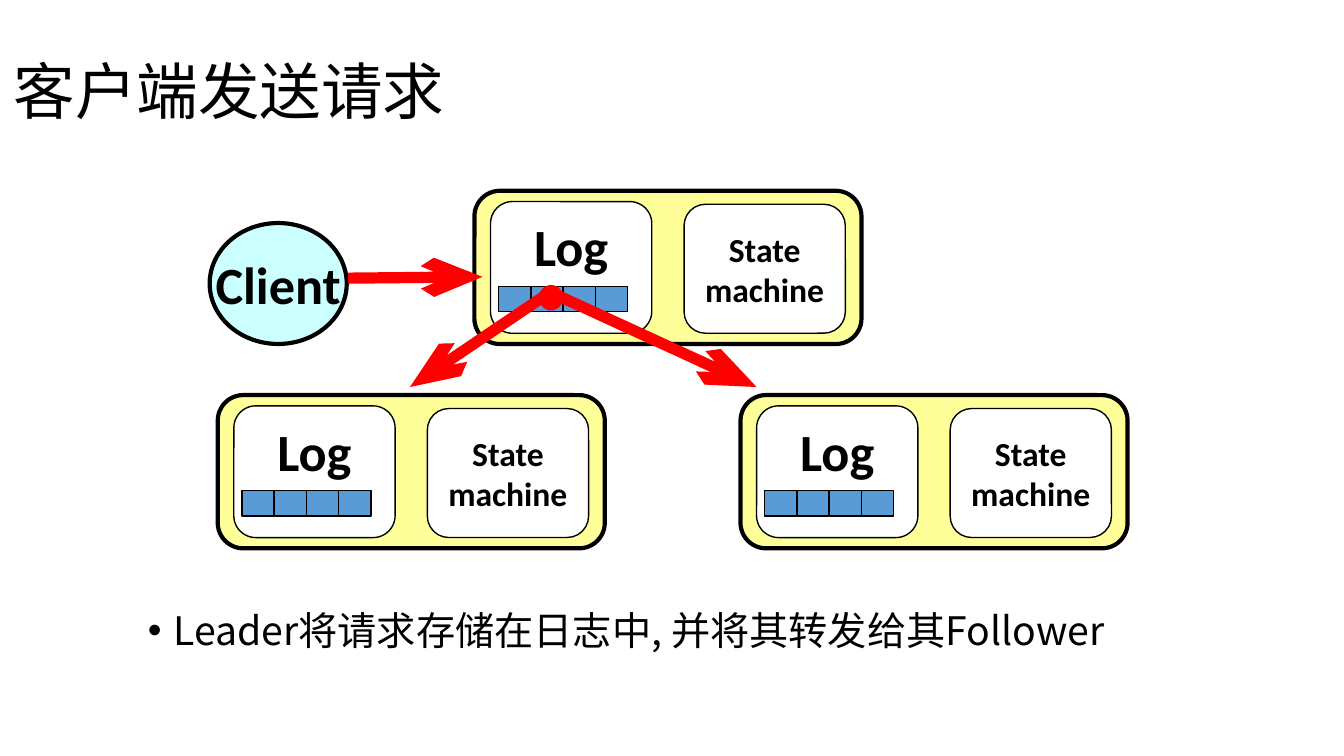
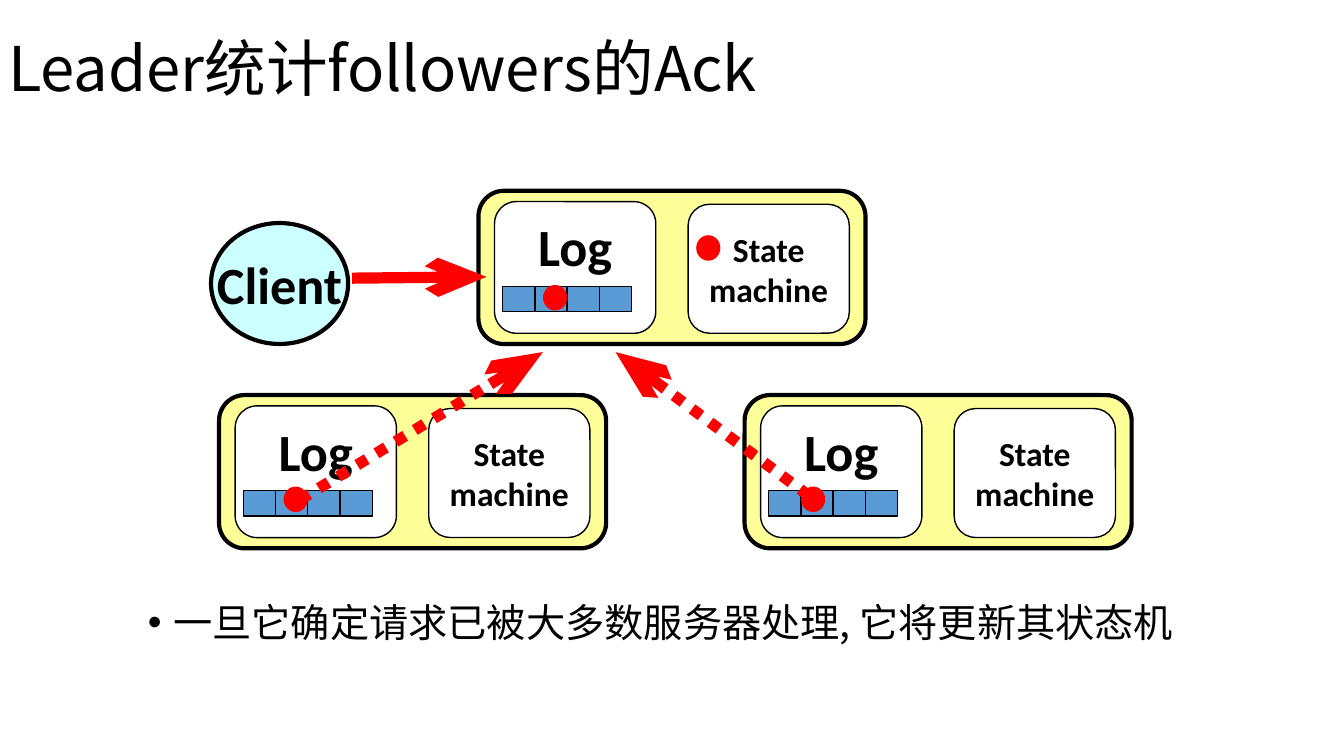
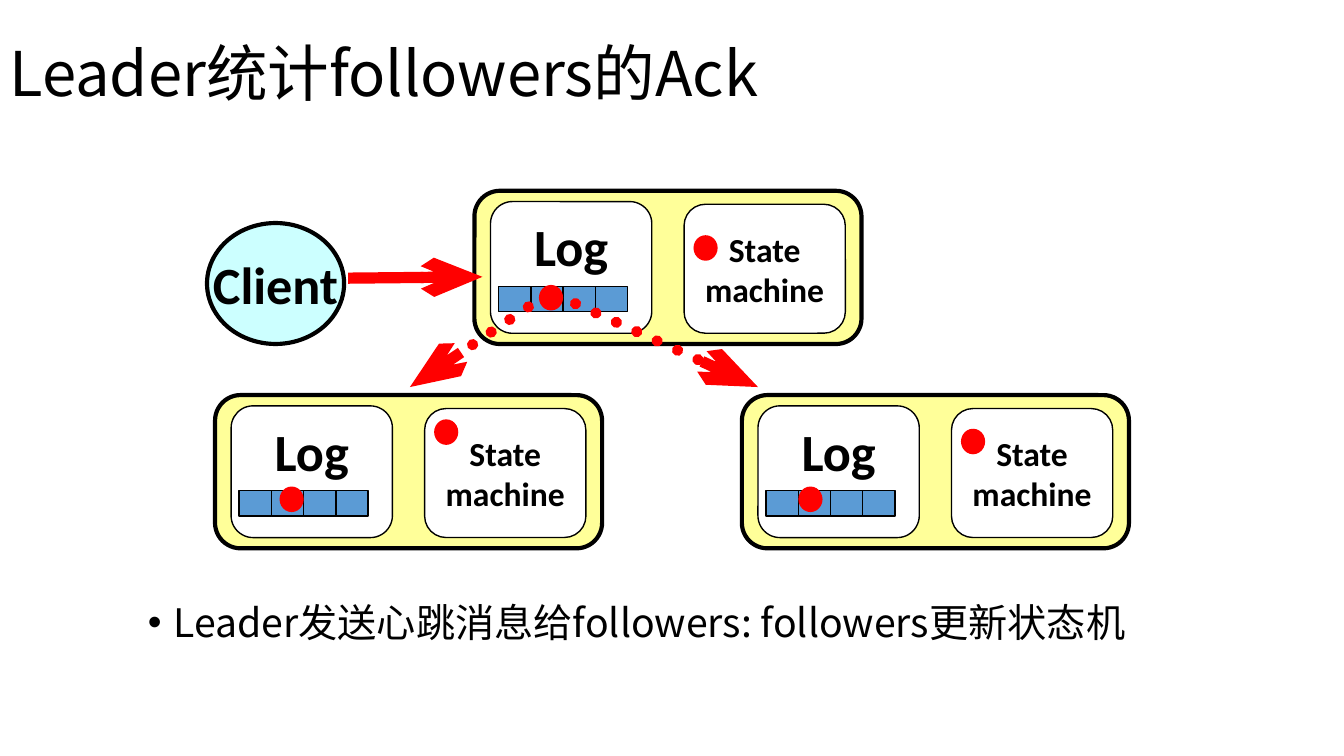
from dataclasses import dataclass

from lxml import etree
from pptx import Presentation
from pptx.dml.color import RGBColor
from pptx.enum.dml import MSO_LINE
from pptx.enum.shapes import MSO_CONNECTOR, MSO_SHAPE
from pptx.enum.text import MSO_ANCHOR, MSO_AUTO_SIZE, PP_ALIGN
from pptx.oxml.ns import qn
from pptx.util import Inches, Pt

RECTANGLE = MSO_SHAPE.RECTANGLE
ROUNDED = MSO_SHAPE.ROUNDED_RECTANGLE
OVAL = MSO_SHAPE.OVAL
STRAIGHT = MSO_CONNECTOR.STRAIGHT
DOTTED = MSO_LINE.ROUND_DOT
TOP, MIDDLE = MSO_ANCHOR.TOP, MSO_ANCHOR.MIDDLE
LEFT, CENTER = PP_ALIGN.LEFT, PP_ALIGN.CENTER
NO_AUTOFIT = MSO_AUTO_SIZE.NONE

# Shared look
SLIDE_WIDTH = Inches(10)
SLIDE_HEIGHT = SLIDE_WIDTH * 9 // 16
BLACK, WHITE, RED = "000000", "FFFFFF", "FF0000"
SERVER_FILL, CLIENT_FILL, ENTRY_FILL = "FFFF99", "CCFFFF", "5B9BD5"
TEXT_FONT, LABEL_FONT = "Noto Sans CJK SC", "Calibri"
THICK, THIN, ARROW_WIDTH = 2.25, 0.75, 6

# Shared places, in inches
LEADER_TOP, FOLLOWER_TOP = 1.42, 2.94
ENTRY_COUNT, ENTRY_PITCH = 4, 0.24


@dataclass(frozen=True)
class Box:
    left: float
    top: float
    width: float
    height: float

    def lengths(self) -> tuple:
        return tuple(Inches(n) for n in (self.left, self.top, self.width, self.height))


@dataclass(frozen=True)
class Label:
    lines: tuple[str, ...]
    size: int
    anchor: MSO_ANCHOR = MIDDLE


@dataclass(frozen=True)
class Arrow:
    start: tuple[float, float]
    end: tuple[float, float]
    dotted: bool = False
    round_cap: bool = False


@dataclass(frozen=True)
class Step:
    title: str
    title_box: Box
    note: str
    note_top: float
    client_left: float
    leader_left: float
    follower_lefts: tuple[float, float]
    dots: tuple[tuple[float, float], ...]
    arrows: tuple[Arrow, ...]


LOG = Label(("Log",), 28, TOP)
STATE_MACHINE = Label(("State", "machine"), 18)
CLIENT = Label(("Client",), 28)

STEPS = (
    Step(
        "客户端发送请求", Box(0, 0.23, 7.84, 0.94),
        "Leader将请求存储在日志中, 并将其转发给其Follower", 4.5,
        1.56, 3.53, (1.62, 5.51),
        dots=((4.01, 2.12),),
        arrows=(Arrow((4.07, 2.19), (3.05, 2.88)), Arrow((4.13, 2.19), (5.63, 2.88))),
    ),
    Step(
        "Leader统计followers的Ack", Box(-0.04, -0.03, 9.5, 1.12),
        "一旦它确定请求已被大多数服务器处理, 它将更新其状态机", 4.44,
        1.57, 3.56, (1.63, 5.54),
        dots=((4.04, 2.12), (2.11, 3.62), (5.96, 3.62), (5.18, 1.75)),
        arrows=(
            Arrow((2.23, 3.72), (4.04, 2.62), dotted=True),
            Arrow((6.02, 3.69), (4.58, 2.62), dotted=True),
        ),
    ),
    Step(
        "Leader统计followers的Ack", Box(-0.03, 0.01, 9.5, 1.12),
        "Leader发送心跳消息给followers: followers更新状态机", 4.44,
        1.54, 3.53, (1.6, 5.52),
        dots=((4.01, 2.12), (2.08, 3.62), (5.94, 3.62),
              (5.16, 1.75), (3.23, 3.12), (7.15, 3.19)),
        arrows=(
            Arrow((4.07, 2.19), (3.05, 2.88), dotted=True, round_cap=True),
            Arrow((4.13, 2.19), (5.64, 2.88), dotted=True, round_cap=True),
        ),
    ),
)


def color(value: str) -> RGBColor:
    return RGBColor.from_string(value)


def add_run(paragraph, text: str, size: float, font: str, bold: bool = False) -> None:
    run = paragraph.add_run()
    run.text = text
    run.font.size = Pt(size)
    run.font.bold = bold
    run.font.name = font
    run.font.color.rgb = color(BLACK)
    east_asian = etree.SubElement(run.font._element, qn("a:ea"))
    east_asian.set("typeface", font)


def fill_placeholder(shape, box: Box, text: str, size: float, anchor: MSO_ANCHOR):
    """Move a placeholder, write one paragraph in it and return the paragraph."""
    shape.left, shape.top, shape.width, shape.height = box.lengths()
    frame = shape.text_frame
    frame.auto_size = NO_AUTOFIT
    frame.word_wrap = True
    frame.vertical_anchor = anchor
    paragraph = frame.paragraphs[0]
    paragraph.alignment = LEFT
    paragraph.line_spacing = 0.9
    paragraph.space_before = Pt(0)
    add_run(paragraph, text, size, TEXT_FONT)
    return paragraph


def add_bullet(paragraph) -> None:
    properties = paragraph._p.get_or_add_pPr()
    properties.set("marL", str(Inches(0.19)))
    properties.set("indent", str(-Inches(0.19)))
    etree.SubElement(properties, qn("a:buFont")).set("typeface", "Arial")
    etree.SubElement(properties, qn("a:buChar")).set("char", "•")


def add_block(shapes, kind: MSO_SHAPE, box: Box, fill: str, line_width: float = 0,
              label: Label | None = None) -> None:
    shape = shapes.add_shape(kind, *box.lengths())
    shape.shadow.inherit = False
    shape.fill.solid()
    shape.fill.fore_color.rgb = color(fill)
    if line_width:
        shape.line.color.rgb = color(BLACK)
        shape.line.width = Pt(line_width)
    else:
        shape.line.fill.background()
    if kind == ROUNDED:
        shape.adjustments[0] = 1 / 6
    if label:
        frame = shape.text_frame
        frame.word_wrap = False
        frame.vertical_anchor = label.anchor
        for index, text in enumerate(label.lines):
            paragraph = frame.add_paragraph() if index else frame.paragraphs[0]
            paragraph.alignment = CENTER
            add_run(paragraph, text, label.size, LABEL_FONT, bold=True)


def add_server(slide, left: float, top: float) -> None:
    shapes = slide.shapes.add_group_shape().shapes
    add_block(shapes, ROUNDED, Box(left, top, 2.88, 1.14), SERVER_FILL, THICK)
    add_block(shapes, ROUNDED, Box(left + 1.56, top + 0.1, 1.2, 0.96), WHITE, THIN,
              STATE_MACHINE)
    add_block(shapes, ROUNDED, Box(left + 0.12, top + 0.08, 1.2, 0.98), WHITE, THIN, LOG)
    for index in range(ENTRY_COUNT):
        entry = Box(left + 0.18 + index * ENTRY_PITCH, top + 0.71, ENTRY_PITCH, 0.19)
        add_block(shapes, RECTANGLE, entry, ENTRY_FILL, THIN)


def add_arrow(slide, arrow: Arrow) -> None:
    ends = (Inches(n) for n in (*arrow.start, *arrow.end))
    connector = slide.shapes.add_connector(STRAIGHT, *ends)
    connector.line.color.rgb = color(RED)
    connector.line.width = Pt(ARROW_WIDTH)
    if arrow.dotted:
        connector.line.dash_style = DOTTED
    properties = connector._element.spPr
    line = properties.find(qn("a:ln"))
    if arrow.round_cap:
        line.set("cap", "rnd")
    head = etree.SubElement(line, qn("a:tailEnd"))
    head.set("type", "arrow")
    head.set("len", "lg")
    etree.SubElement(properties, qn("a:effectLst"))


def add_step(presentation, step: Step) -> None:
    slide = presentation.slides.add_slide(presentation.slide_layouts[1])

    # Title and note
    fill_placeholder(slide.shapes.title, step.title_box, step.title, 33, MIDDLE)
    note_box = Box(1, step.note_top, 9, 0.75)
    add_bullet(fill_placeholder(slide.placeholders[1], note_box, step.note, 21, TOP))

    # Client and servers
    add_server(slide, step.leader_left, LEADER_TOP)
    add_block(slide.shapes, OVAL, Box(step.client_left, 1.66, 1.02, 0.9),
              CLIENT_FILL, THICK, CLIENT)
    add_arrow(slide, Arrow((step.leader_left - 0.94, 2.07), (step.leader_left + 0.06, 2.06)))
    for left in step.follower_lefts:
        add_server(slide, left, FOLLOWER_TOP)

    # Request marks and messages
    for left, top in step.dots:
        add_block(slide.shapes, OVAL, Box(left, top, 0.18, 0.19), RED)
    for arrow in step.arrows:
        add_arrow(slide, arrow)


def main() -> None:
    presentation = Presentation()
    presentation.slide_width = SLIDE_WIDTH
    presentation.slide_height = SLIDE_HEIGHT
    for step in STEPS:
        add_step(presentation, step)
    presentation.save("out.pptx")


if __name__ == "__main__":
    main()
